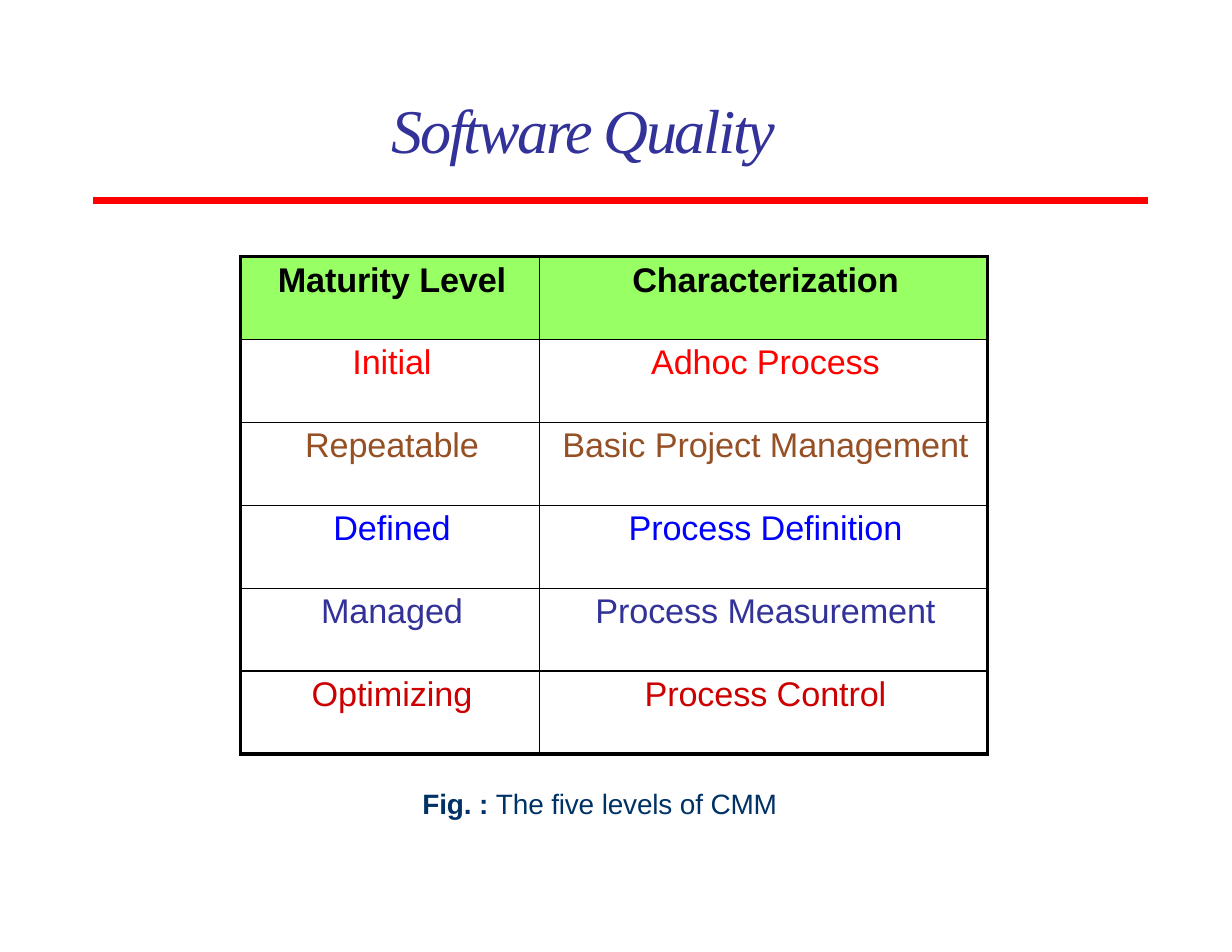
from dataclasses import dataclass

from lxml.etree import SubElement
from pptx import Presentation
from pptx.dml.color import RGBColor as Color
from pptx.enum.shapes import MSO_CONNECTOR as Connector
from pptx.enum.text import MSO_ANCHOR as Anchor, PP_ALIGN as Align
from pptx.oxml import parse_xml
from pptx.oxml.ns import nsdecls, qn
from pptx.util import Cm, Pt


@dataclass(frozen=True)
class Theme:
    title_font: str = "Times New Roman"
    body_font: str = "Arial"
    title_size: float = 40
    table_size: float = 22
    caption_size: float = 18
    title: str = "323299"
    caption: str = "003265"
    rule: str = "FF0000"
    header_fill: str = "98FF65"
    border: str = "000000"
    outer_border: float = 2.25
    inner_border: float = 1
    rule_width: float = 4.5


class SlideBuilder:
    def __init__(self, slide, theme):
        self.slide = slide
        self.theme = theme

    def run(self, paragraph, text, size, color, font=None, bold=False, italic=False, spacing=0):
        run = paragraph.add_run()
        run.text = text
        run.font.name = font or self.theme.body_font
        run.font.size = Pt(size)
        run.font.bold = bold
        run.font.italic = italic
        run.font.color.rgb = Color.from_string(color)
        if spacing:
            run.font._element.set("spc", str(round(spacing * 100)))

    def indent(self, paragraph, left, before):
        paragraph.space_before = Pt(before)
        paragraph._p.get_or_add_pPr().set("marL", str(Cm(left)))

    def text_box(self, left, top, width, height):
        shape = self.slide.shapes.add_textbox(Cm(left), Cm(top), Cm(width), Cm(height))
        frame = shape.text_frame
        frame.word_wrap = True
        frame.margin_left = frame.margin_right = frame.margin_bottom = 0
        frame.margin_top = Cm(0.03)
        paragraph = frame.paragraphs[0]
        self.indent(paragraph, 0.03, 1)
        return paragraph

    def line(self, left, right, top):
        connector = self.slide.shapes.add_connector(
            Connector.STRAIGHT, Cm(left), Cm(top), Cm(right), Cm(top))
        connector.line.color.rgb = Color.from_string(self.theme.rule)
        connector.line.width = Pt(self.theme.rule_width)
        SubElement(connector._element.spPr, qn("a:effectLst"))

    def borders(self, cell, outer_sides):
        properties = cell._tc.get_or_add_tcPr()
        for position, side in enumerate("LRTB"):
            width = self.theme.outer_border if side in outer_sides else self.theme.inner_border
            properties.insert(position, parse_xml(
                f'<a:ln{side} {nsdecls("a")} w="{Pt(width)}"><a:solidFill>'
                f'<a:srgbClr val="{self.theme.border}"/></a:solidFill></a:ln{side}>'))

    def cell(self, cell, text, color, header, outer_sides):
        cell.margin_left = cell.margin_right = cell.margin_bottom = 0
        cell.margin_top = Cm(0.1)
        cell.vertical_anchor = Anchor.TOP
        if header:
            cell.fill.solid()
            cell.fill.fore_color.rgb = Color.from_string(self.theme.header_fill)
        else:
            cell.fill.background()
        paragraph = cell.text_frame.paragraphs[0]
        paragraph.alignment = Align.CENTER
        self.indent(paragraph, 0.08, 3)
        self.run(paragraph, text, self.theme.table_size, color, bold=header, spacing=-0.05)
        self.borders(cell, outer_sides)

    def table(self, left, top, widths, row_height, rows):
        last_row, last_column = len(rows) - 1, len(widths) - 1
        table = self.slide.shapes.add_table(
            len(rows), len(widths), Cm(left), Cm(top),
            Cm(sum(widths)), Cm(row_height * len(rows))).table
        table.horz_banding = False
        for column, width in zip(table.columns, widths):
            column.width = Cm(width)
        for i, (color, *texts) in enumerate(rows):
            table.rows[i].height = Cm(row_height)
            for j, text in enumerate(texts):
                edges = {"L": j == 0, "R": j == last_column, "T": i == 0, "B": i == last_row}
                outer_sides = [side for side, outer in edges.items() if outer]
                self.cell(table.cell(i, j), text, color, i == 0, outer_sides)


LEVELS = [
    ("000000", "Maturity Level", "Characterization"),
    ("FF0000", "Initial", "Adhoc Process"),
    ("965025", "Repeatable", "Basic Project Management"),
    ("0000FF", "Defined", "Process Definition"),
    ("323299", "Managed", "Process Measurement"),
    ("CC0000", "Optimizing", "Process Control"),
]


def main():
    theme = Theme()
    presentation = Presentation()
    presentation.slide_width, presentation.slide_height = Cm(27.94), Cm(21.59)
    slide = presentation.slides.add_slide(presentation.slide_layouts[6])
    builder = SlideBuilder(slide, theme)

    builder.line(2.11, 26.04, 4.55)
    title = builder.text_box(8.86, 2.03, 10.21, 1.75)
    builder.run(title, "Software Quality", theme.title_size, theme.title,
                font=theme.title_font, italic=True, spacing=-1.6)
    builder.table(5.46, 5.82, [6.78, 10.16], 1.88, LEVELS)
    caption = builder.text_box(9.55, 17.81, 9.27, 0.84)
    builder.run(caption, "Fig. : ", theme.caption_size, theme.caption, bold=True, spacing=-0.1)
    builder.run(caption, "The five levels of CMM", theme.caption_size, theme.caption, spacing=-0.1)

    presentation.save("out.pptx")


if __name__ == "__main__":
    main()
